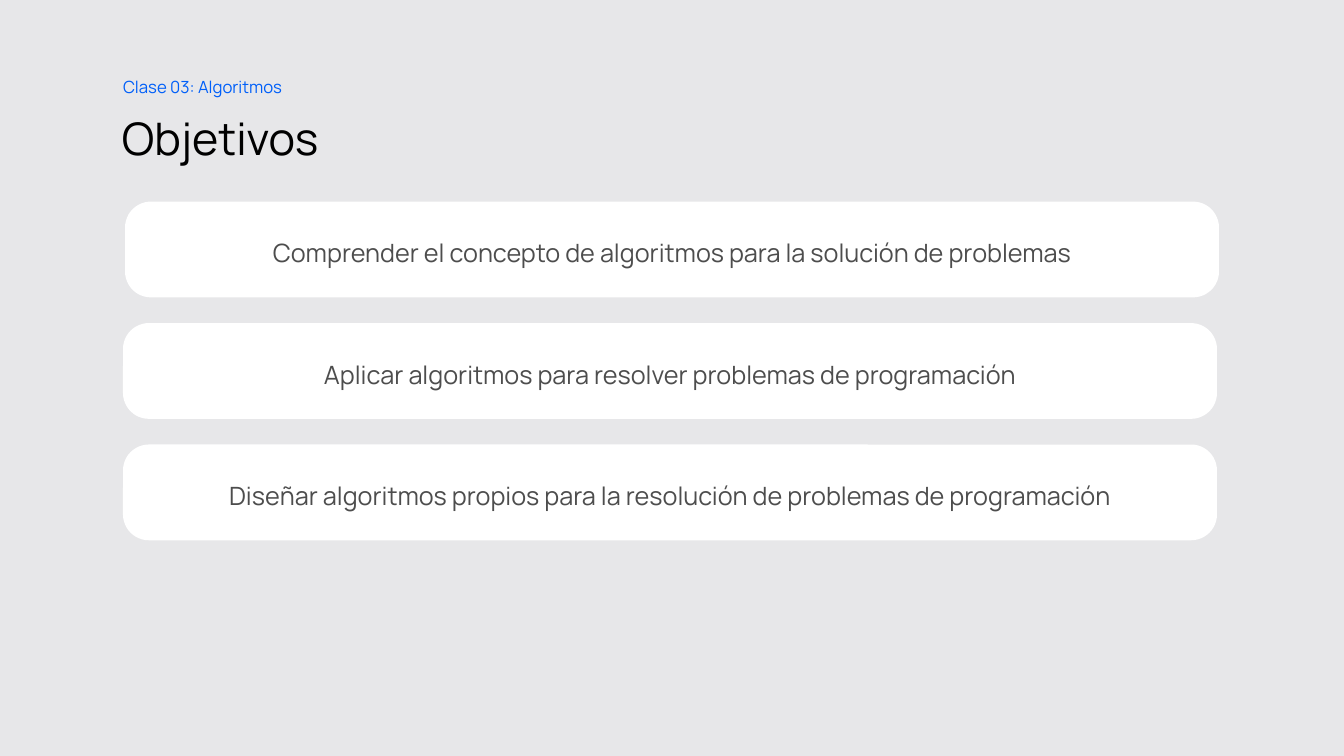
from pptx import Presentation
from pptx import util as u
from pptx.dml.color import RGBColor
from pptx.enum import shapes, text

COLORS = {"background": "E7E7E9", "title": "000000", "class": "005FF9",
          "card": "FFFFFF", "objective": "4D4D4D"}
LEFT, WIDTH = 1.22, 10.85
CARD_TOP, CARD_HEIGHT, CARD_PITCH = 2, 0.95, 1.205
OBJECTIVES = [
    "Comprender el concepto de algoritmos para la solución de problemas",
    "Aplicar algoritmos para resolver problemas de programación",
    "Diseñar algoritmos propios para la resolución de problemas de programación",
]


def place(shape, left, top, width, height):
    box = {"left": left, "top": top, "width": width, "height": height}
    for name, value in box.items():
        setattr(shape, name, u.Inches(value))


def write(shape, words, size, color, spacing, align, anchor, margins, wrap=True):
    frame = shape.text_frame
    frame.text = words
    left, top, right, bottom = (u.Inches(margin) for margin in margins)
    frame_format = {"margin_left": left, "margin_top": top, "margin_right": right,
                    "margin_bottom": bottom, "vertical_anchor": anchor,
                    "word_wrap": wrap, "auto_size": text.MSO_AUTO_SIZE.NONE}
    paragraph = frame.paragraphs[0]
    paragraph_format = {"alignment": align, "line_spacing": spacing,
                        "space_before": u.Pt(0)}
    font = paragraph.runs[0].font
    font_format = {"name": "Manrope", "size": u.Pt(size), "bold": False}
    for target, values in ((frame, frame_format), (paragraph, paragraph_format),
                           (font, font_format)):
        for name, value in values.items():
            setattr(target, name, value)
    font.color.rgb = RGBColor.from_string(COLORS[color])


presentation = Presentation()
presentation.slide_width = u.Inches(13.33)
presentation.slide_height = u.Inches(7.5)
slide = presentation.slides.add_slide(presentation.slide_layouts[5])
slide.background.fill.solid()
slide.background.fill.fore_color.rgb = RGBColor.from_string(COLORS["background"])

title = slide.shapes.title
place(title, LEFT - 0.01, 1, WIDTH, 0.75)
write(title, "Objetivos", 32, "title", 0.9, text.PP_ALIGN.LEFT,
      text.MSO_ANCHOR.MIDDLE, (0, 0.1, 0.1, 0.05))

class_label = slide.shapes.add_textbox(0, 0, 0, 0)
place(class_label, LEFT, 0.67, 1.82, 0.34)
write(class_label, "Clase 03: Algoritmos", 12, "class", 1.2, text.PP_ALIGN.LEFT,
      text.MSO_ANCHOR.TOP, (0, 0.05, 0.1, 0.05), wrap=False)

for row, objective in enumerate(OBJECTIVES):
    card = slide.shapes.add_shape(shapes.MSO_SHAPE.ROUNDED_RECTANGLE, 0, 0, 0, 0)
    card_left = LEFT + 0.02 if row == 0 else LEFT
    place(card, card_left, CARD_TOP + row * CARD_PITCH, WIDTH, CARD_HEIGHT)
    card.adjustments[0] = 0.27
    card.shadow.inherit = False
    card.fill.solid()
    card.fill.fore_color.rgb = RGBColor.from_string(COLORS["card"])
    card.line.fill.background()
    write(card, objective, 18, "objective", 1.2, text.PP_ALIGN.CENTER,
          text.MSO_ANCHOR.MIDDLE, (0.2, 0, 0.2, 0))

presentation.save("out.pptx")
